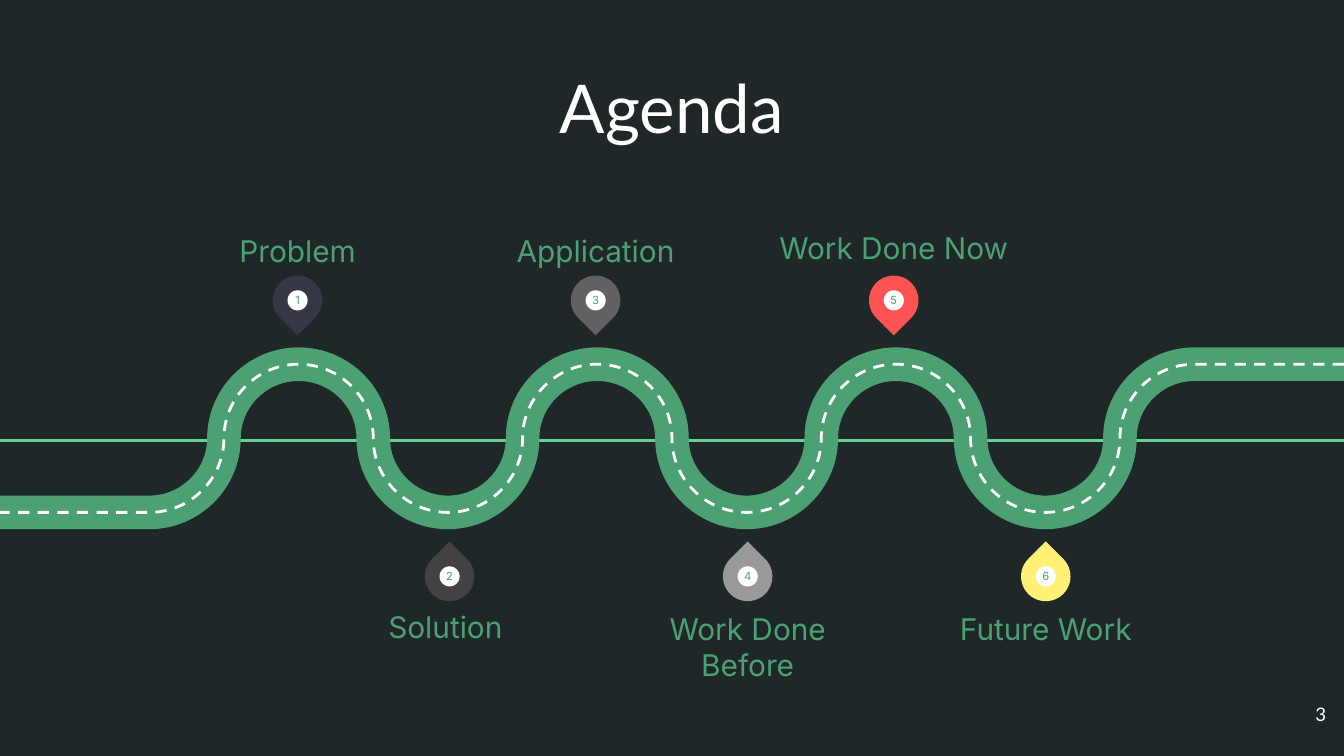
from dataclasses import dataclass

import lxml.etree
import pptx
import pptx.dml.color
import pptx.enum.dml
import pptx.enum.shapes
import pptx.enum.text
import pptx.oxml.ns
import pptx.util

Pt = pptx.util.Pt
qn = pptx.oxml.ns.qn
SHAPE = pptx.enum.shapes.MSO_SHAPE
ALIGN = pptx.enum.text.PP_ALIGN
ANCHOR = pptx.enum.text.MSO_ANCHOR


@dataclass(frozen=True)
class Theme:
    background: str = "202729"
    white: str = "FFFFFF"
    green: str = "4BA173"
    horizon: str = "63D297"
    heading_font: str = "Lato"
    body_font: str = "Inter"
    title_size: float = 36
    label_size: float = 16
    page_size: float = 10
    number_size: float = 6


THEME = Theme()

# Slide, road and pin geometry, in points
WIDTH, HEIGHT = 720, 405
RADIUS = 40
ROAD_TOP, ROAD_MIDDLE, ROAD_BOTTOM = 195.1, 234.8, 274.5
QUARTERS = 14
ARC_FACTOR = 0.55
PIN_SIZE, DOT_SIZE = 26.5, 10.8
PIN_START, PIN_STEP = 159.4, 79.85

# Agenda stops: label, pin colour, label top, label width, label height
STOPS = [
    ("Problem", "353744", 113, 101.5, 31),
    ("Solution ", "424242", 326.2, 101.5, 41.8),
    ("Application", "616161", 113, 101.5, 31),
    ("Work Done Before", "999999", 327.1, 101.5, 41.8),
    ("Work Done Now", "FF5252", 100.5, 141, 41.8),
    ("Future Work", "FFF176", 327.1, 101.5, 23.8),
]


def rgb(value):
    return pptx.dml.color.RGBColor.from_string(value)


def write_text(sp, text, *, size, font, color, align=ALIGN.CENTER,
               anchor=ANCHOR.MIDDLE, spacing=None):
    tf = sp.text_frame
    tf.word_wrap = True
    tf.margin_left = tf.margin_top = tf.margin_right = tf.margin_bottom = 0
    tf.vertical_anchor = anchor
    p = tf.paragraphs[0]
    p.alignment = align
    p.line_spacing = spacing
    r = p.add_run()
    r.text = text
    r.font.size = Pt(size)
    r.font.name = font
    r.font.color.rgb = rgb(color)


def add_text(s, text, x, y, w, h, **style):
    sp = s.shapes.add_textbox(Pt(x), Pt(y), Pt(w), Pt(h))
    write_text(sp, text, **style)


def add_disc(group, kind, cx, cy, size, color):
    sp = group.shapes.add_shape(kind, Pt(cx - size / 2), Pt(cy - size / 2),
                                Pt(size), Pt(size))
    sp.shadow.inherit = False
    sp.fill.solid()
    sp.fill.fore_color.rgb = rgb(color)
    sp.line.fill.background()
    return sp


def add_pin(s, number, cx, cy, color, rotation):
    group = s.shapes.add_group_shape()
    drop = add_disc(group, SHAPE.TEAR, cx, cy, PIN_SIZE, color)
    drop.rotation = rotation
    dot = add_disc(group, SHAPE.OVAL, cx, cy, DOT_SIZE, THEME.white)
    write_text(dot, str(number), size=THEME.number_size,
               font=THEME.body_font, color=THEME.green)


def add_horizon(s, y):
    line = s.shapes.add_connector(pptx.enum.shapes.MSO_CONNECTOR.STRAIGHT,
                                  0, Pt(y), Pt(WIDTH), Pt(y))
    line.line.color.rgb = rgb(THEME.horizon)
    line.line.width = Pt(1.5)
    lxml.etree.SubElement(line._element.spPr, qn("a:effectLst"))


def road_points():
    """Right to left: a straight, the ends of the quarter arcs, a straight."""
    levels = [ROAD_TOP, ROAD_MIDDLE, ROAD_BOTTOM, ROAD_MIDDLE]
    points = [(WIDTH, ROAD_TOP)]
    for i in range(QUARTERS + 1):
        points.append((WIDTH - (i + 2) * RADIUS, levels[i % 4]))
    points.append((0, ROAD_BOTTOM))
    return [(Pt(x), Pt(y)) for x, y in points]


def round_bends(sp):
    """Turn the segments between the two straights into quarter arcs."""
    segments = list(sp._element.iter(qn("a:lnTo")))
    ends = [(int(seg[0].get("x")), int(seg[0].get("y"))) for seg in segments]
    for i, seg in enumerate(segments[1:-1]):
        (x0, y0), (x1, y1) = ends[i], ends[i + 1]
        dx, dy = ARC_FACTOR * (x1 - x0), ARC_FACTOR * (y1 - y0)
        if i % 2 == 0:
            controls = [(x0 + dx, y0), (x1, y1 - dy)]
        else:
            controls = [(x0, y0 + dy), (x1 - dx, y1)]
        curve = lxml.etree.Element(qn("a:cubicBezTo"))
        for x, y in controls + [(x1, y1)]:
            lxml.etree.SubElement(curve, qn("a:pt"),
                                  x=str(round(x)), y=str(round(y)))
        seg.getparent().replace(seg, curve)


def add_road(s, color, width, dash=None):
    first, *rest = road_points()
    builder = s.shapes.build_freeform(*first)
    builder.add_line_segments(rest, close=False)
    sp = builder.convert_to_shape()
    round_bends(sp)
    sp.shadow.inherit = False
    sp.fill.background()
    sp.line.color.rgb = rgb(color)
    sp.line.width = Pt(width)
    sp.line.dash_style = dash


def main():
    prs = pptx.Presentation()
    prs.slide_width, prs.slide_height = Pt(WIDTH), Pt(HEIGHT)
    s = prs.slides.add_slide(prs.slide_layouts[6])
    s.background.fill.solid()
    s.background.fill.fore_color.rgb = rgb(THEME.background)

    # Horizon, title and page number
    add_horizon(s, 236)
    add_text(s, "Agenda", 40.2, 18.3, 639.6, 61.2, size=THEME.title_size,
             font=THEME.heading_font, color=THEME.white,
             anchor=ANCHOR.BOTTOM, spacing=0.9)
    add_text(s, "3", 667.3, 367.2, 43.2, 31, size=THEME.page_size,
             font=THEME.heading_font, color=THEME.white, align=ALIGN.RIGHT)

    # Winding road with its centre marking
    add_road(s, THEME.green, 18)
    add_road(s, THEME.white, 1.5, pptx.enum.dml.MSO_LINE.DASH)

    # Stops alternate above and below the road
    for number, (label, color, top, w, h) in enumerate(STOPS, start=1):
        above = number % 2 == 1
        cx = PIN_START + (number - 1) * PIN_STEP + (0 if above else 1.6)
        add_pin(s, number, cx, 160.9 if above else 308.8, color,
                135 if above else 315)
        add_text(s, label, cx - w / 2, top, w, h, size=THEME.label_size,
                 font=THEME.body_font, color=THEME.green,
                 anchor=ANCHOR.BOTTOM if above else ANCHOR.TOP)

    prs.save("out.pptx")


if __name__ == "__main__":
    main()
